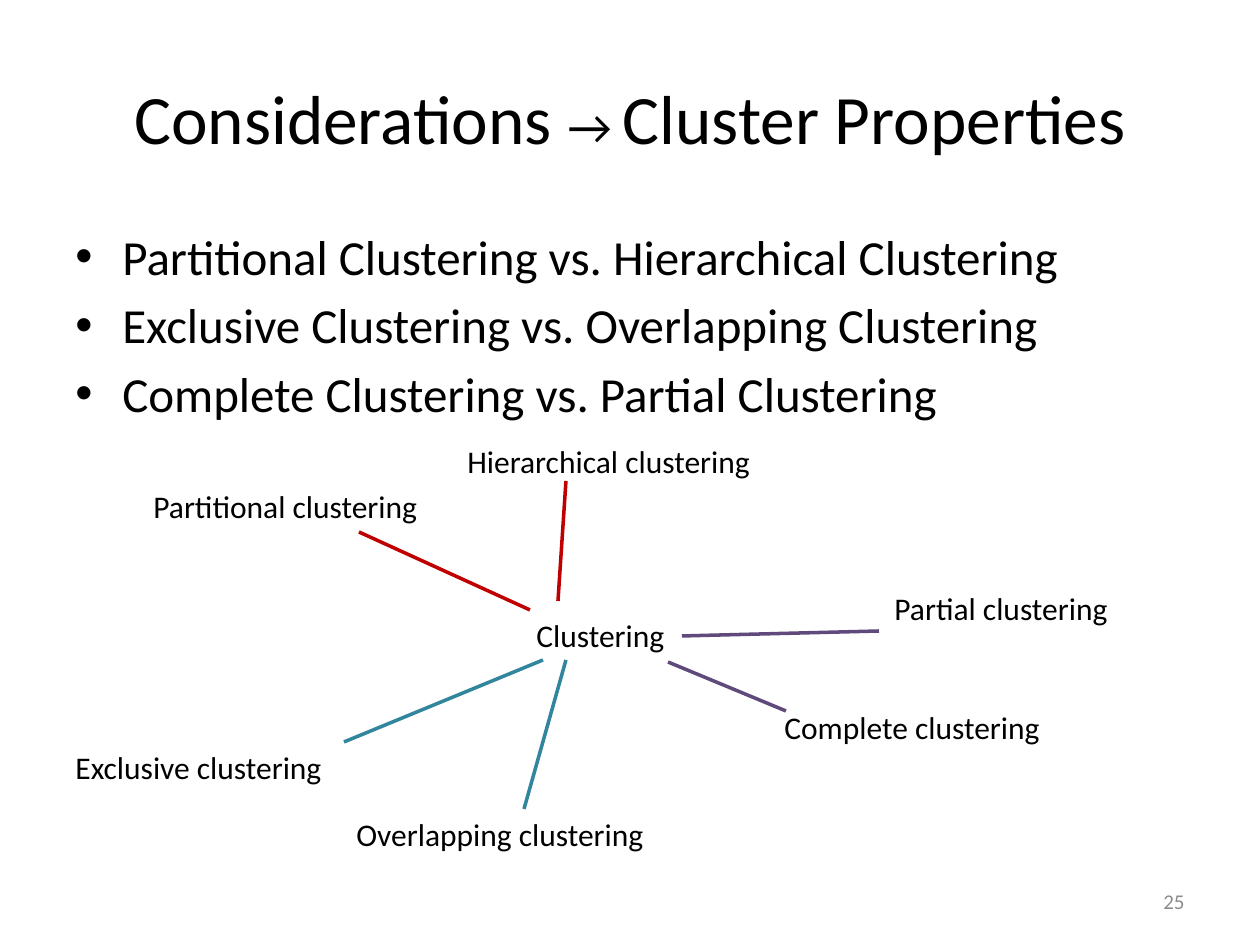
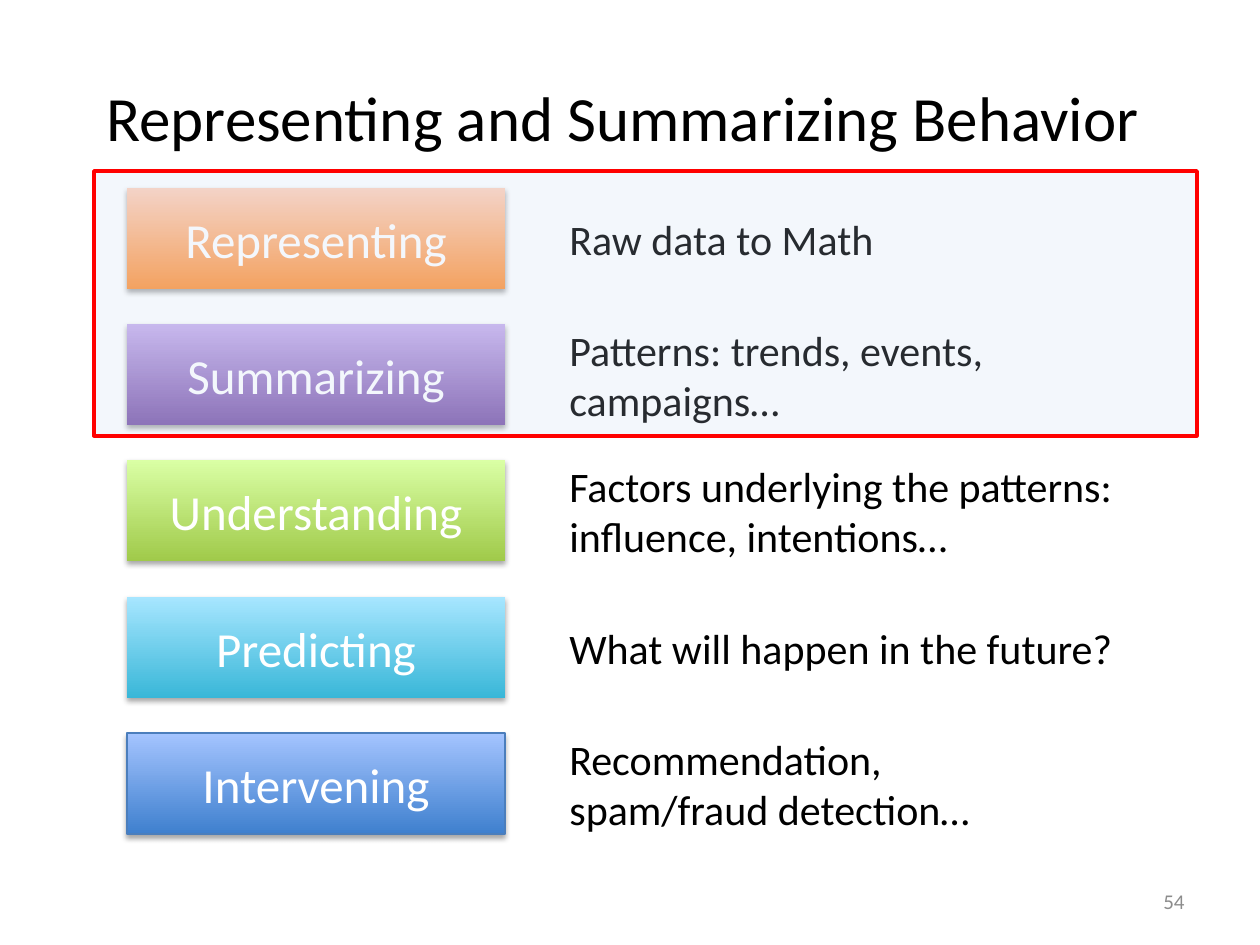
from lxml.etree import SubElement
from pptx import Presentation
from pptx.dml.color import RGBColor
from pptx.enum.shapes import MSO_CONNECTOR, MSO_SHAPE
from pptx.enum.text import MSO_ANCHOR, MSO_AUTO_SIZE, PP_ALIGN
from pptx.oxml.ns import qn
from pptx.util import Emu, Pt

PX_PER_INCH = 126
FONT = "Calibri"
COLORS = {
    "text": "000000",
    "white": "FFFFFF",
    "number": "8C8C8C",
    "hierarchy": "C00000",
    "exclusivity": "31859C",
    "completeness": "604A7B",
    "highlight": "C6D9F1",
    "highlight_line": "FF0000",
    "intervening_line": "4B7EBC",
    "shadow": "000000",
}

PROPERTIES = [
    "Partitional Clustering vs. Hierarchical Clustering",
    "Exclusive Clustering vs. Overlapping Clustering",
    "Complete Clustering vs. Partial Clustering",
]

# Text, left, top, width
MAP_LABELS = [
    ("Clustering", 524, 610, 159),
    ("Partitional clustering", 141, 481, 299),
    ("Hierarchical clustering", 455, 436, 318),
    ("Exclusive clustering", 63, 742, 281),
    ("Overlapping clustering", 344, 809, 323),
    ("Complete clustering", 772, 702, 290),
    ("Partial clustering", 882, 583, 247),
]

# Color, start, end
MAP_LINES = [
    ("hierarchy", (359, 532), (530, 610)),
    ("hierarchy", (566, 481), (558, 601)),
    ("exclusivity", (543, 660), (344, 742)),
    ("exclusivity", (566, 660), (524, 809)),
    ("completeness", (668, 662), (786, 711)),
    ("completeness", (682, 636), (879, 631)),
]

# Name, bottom color, top color, line color, description
STEPS = [
    ("Representing", "FF953E", "FFD2BD", None, "Raw data to Math"),
    ("Summarizing", "7F5BAB", "C8B0ED", None, "Patterns: trends, events, campaigns…"),
    ("Understanding", "A0CA4A", "DAFFA5", None,
     "Factors underlying the patterns: influence, intentions…"),
    ("Predicting", "39B7D8", "A7E6FF", None, "What will happen in the future?"),
    ("Intervening", "3F80CE", "A4C4FF", "intervening_line",
     "Recommendation,\nspam/fraud detection…"),
]
FIRST_STEP_TOP, LAST_STEP_TOP, STEP_HEIGHT = 188, 733, 101


def px(length):
    return Emu(round(length * 914400 / PX_PER_INCH))


def box(*lengths):
    return [px(length) for length in lengths]


def rgb(name):
    return RGBColor.from_string(COLORS[name])


def format_font(font, size, color="text"):
    font.name = FONT
    font.size = Pt(size)
    font.color.rgb = rgb(color)


def write(shape, text, size, color="text", align=PP_ALIGN.LEFT, anchor=MSO_ANCHOR.TOP, wrap=True):
    frame = shape.text_frame
    frame.text = text
    frame.word_wrap = wrap
    frame.vertical_anchor = anchor
    for paragraph in frame.paragraphs:
        paragraph.alignment = align
        for run in paragraph.runs:
            format_font(run.font, size, color)


def add_titled_slide(presentation, title_parts, number):
    """Add a slide whose title is made of (text, size) parts."""
    slide = presentation.slides.add_slide(presentation.slide_layouts[5])
    title = slide.shapes.title
    title.left, title.top, title.width, title.height = box(63, 38, 1134, 157)
    frame = title.text_frame
    frame.auto_size = MSO_AUTO_SIZE.NONE
    frame.vertical_anchor = MSO_ANCHOR.MIDDLE
    paragraph = frame.paragraphs[0]
    paragraph.alignment = PP_ALIGN.CENTER
    for text, size in title_parts:
        run = paragraph.add_run()
        run.text = text
        format_font(run.font, size)
    number_box = slide.shapes.add_textbox(*box(903, 876, 294, 50))
    write(number_box, str(number), 12, "number", PP_ALIGN.RIGHT, MSO_ANCHOR.MIDDLE)
    return slide


def add_bullets(slide, items):
    text_box = slide.shapes.add_textbox(*box(63, 220, 1134, 624))
    write(text_box, "\n".join(items), 28)
    for index, paragraph in enumerate(text_box.text_frame.paragraphs):
        if index:
            paragraph.space_before = Pt(5.6)
        properties = paragraph._p.get_or_add_pPr()
        properties.set("marL", str(px(47)))
        properties.set("indent", str(-px(47)))
        SubElement(properties, qn("a:buFont"), typeface="Arial")
        SubElement(properties, qn("a:buChar"), char="•")


def add_label(slide, text, left, top, width):
    label = slide.shapes.add_textbox(*box(left, top, width, 50))
    write(label, text, 18, wrap=False)
    label.text_frame.auto_size = MSO_AUTO_SIZE.SHAPE_TO_FIT_TEXT


def add_line(slide, color, start, end):
    line = slide.shapes.add_connector(MSO_CONNECTOR.STRAIGHT, *box(*start, *end))
    line.line.color.rgb = rgb(color)
    line.line.width = Pt(2)
    SubElement(line._element.spPr, qn("a:effectLst"))


def add_rectangle(slide, bounds, line_color=None, line_width=0.75):
    shape = slide.shapes.add_shape(MSO_SHAPE.RECTANGLE, *box(*bounds))
    shape.shadow.inherit = False
    if line_color:
        shape.line.color.rgb = rgb(line_color)
        shape.line.width = Pt(line_width)
    else:
        shape.line.fill.background()
    return shape


def fill_solid(shape, color, opacity=100):
    shape.fill.solid()
    shape.fill.fore_color.rgb = rgb(color)
    if opacity < 100:
        color_element = shape._element.spPr.find(qn("a:solidFill"))[0]
        SubElement(color_element, qn("a:alpha"), val=str(opacity * 1000))


def fill_gradient(shape, bottom, top):
    shape.fill.gradient()
    shape.fill.gradient_angle = 90
    for stop, color in zip(shape.fill.gradient_stops, (bottom, top)):
        stop.color.rgb = RGBColor.from_string(color)


def add_shadow(shape):
    effects = shape._element.spPr.find(qn("a:effectLst"))
    shadow = SubElement(effects, qn("a:outerShdw"), blurRad=str(Pt(3.1)), dist=str(Pt(1.8)),
                        dir="5400000", rotWithShape="0")
    color = SubElement(shadow, qn("a:srgbClr"), val=COLORS["shadow"])
    SubElement(color, qn("a:alpha"), val="35000")


def add_step(slide, top, name, bottom_color, top_color, line_color, description):
    button = add_rectangle(slide, (127, top, 378, STEP_HEIGHT), line_color)
    fill_gradient(button, bottom_color, top_color)
    add_shadow(button)
    write(button, name, 28, "white", PP_ALIGN.CENTER, MSO_ANCHOR.MIDDLE)
    panel = add_rectangle(slide, (557, top, 640, STEP_HEIGHT))
    fill_solid(panel, "white")
    write(panel, description, 24, anchor=MSO_ANCHOR.MIDDLE)


def build_cluster_properties(presentation):
    title = [("Considerations ", 39.6), ("→ ", 27.9), ("Cluster Properties", 39.6)]
    slide = add_titled_slide(presentation, title, 25)
    add_bullets(slide, PROPERTIES)
    for label in MAP_LABELS:
        add_label(slide, *label)
    for line in MAP_LINES:
        add_line(slide, *line)


def build_behavior_steps(presentation):
    slide = add_titled_slide(presentation, [("Representing and Summarizing Behavior ", 36)], 54)
    pitch = (LAST_STEP_TOP - FIRST_STEP_TOP) / (len(STEPS) - 1)
    for index, step in enumerate(STEPS):
        add_step(slide, round(FIRST_STEP_TOP + index * pitch), *step)
    highlight = add_rectangle(slide, (94, 171, 1103, 265), "highlight_line", 2)
    fill_solid(highlight, "highlight", opacity=20)


def main():
    presentation = Presentation()
    presentation.slide_width, presentation.slide_height = box(1260, 945)
    build_cluster_properties(presentation)
    build_behavior_steps(presentation)
    presentation.save("out.pptx")


if __name__ == "__main__":
    main()
